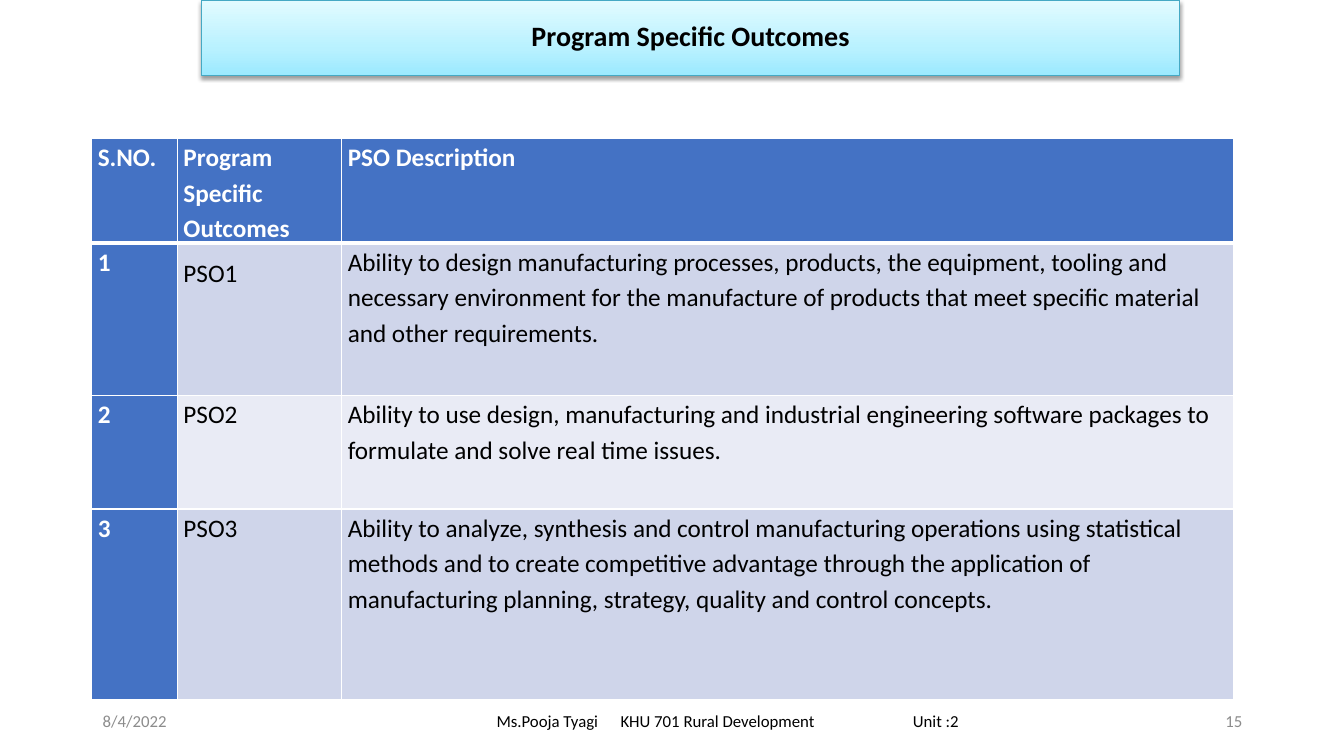
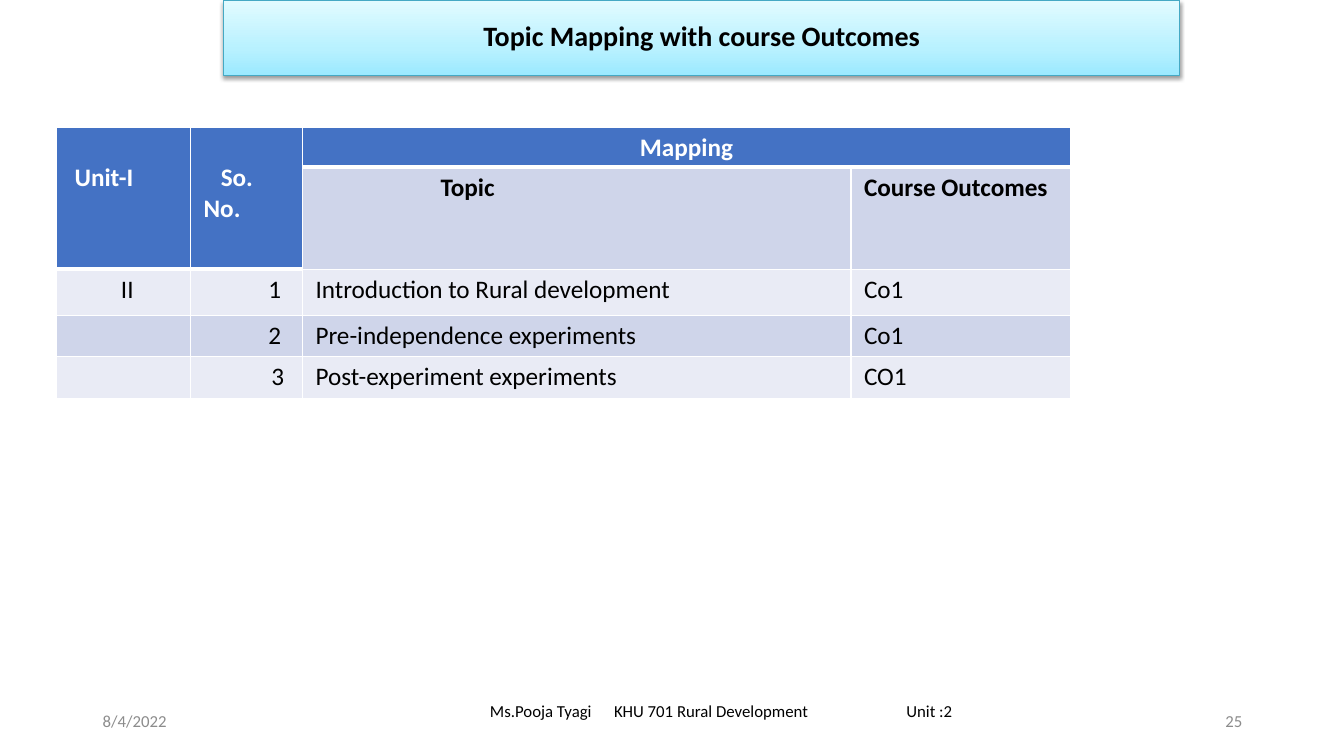
from copy import deepcopy
from lxml.etree import SubElement as Sub
from pptx import Presentation
from pptx.dml.color import RGBColor
from pptx.enum.shapes import MSO_SHAPE as Geo
from pptx.enum.text import MSO_ANCHOR as Anchor, PP_ALIGN as Align
from pptx.oxml.ns import qn
from pptx.util import Inches, Pt

# Shared look
BLUE, WHITE, BLACK, GREY = "4472C4", "FFFFFF", "000000", "8C8C8C"
BANDS = ["E9EBF5", "CFD5EA"]
GLOW = [(0, "9BE9FF"), (0.35, "B8F1FF"), (1, "E2FBFF")]
EDGE = "45A9C4"
BODY = {"name": "Calibri", "size": Pt(18), "bold": False}
HEAD = {**BODY, "bold": True}
TITLE = {**HEAD, "size": Pt(20)}
SMALL = {**BODY, "size": Pt(12)}
COURSE = "Ms.Pooja Tyagi\tKHU 701 Rural Development\tUnit :2"
DATE = "8/4/2022"


def rgb(code):
    return RGBColor.from_string(code)


def put(item, vals):
    for key, val in vals.items():
        setattr(item, key, val)


def write(frame, text, font, tint, para=None):
    """Fill the first paragraph of a text frame."""
    line = frame.paragraphs[0]
    put(line, para or {})
    run = line.add_run()
    run.text = text
    put(run.font, font)
    run.font.color.rgb = rgb(tint)
    return line


def banner(slide, box, text):
    """Title band with a gradient and a soft shadow."""
    band = slide.shapes.add_shape(Geo.RECTANGLE, *map(Inches, box))
    band.fill.gradient()
    band.fill.gradient_angle = 90
    props = band._element.spPr
    stops = props.find(".//" + qn("a:gsLst"))
    stops.append(deepcopy(stops[0]))
    for stop, (place, tint) in zip(band.fill.gradient_stops, GLOW):
        stop.position = place
        stop.color.rgb = rgb(tint)
    band.line.color.rgb = rgb(EDGE)
    band.line.width = Pt(0.75)
    # Shadow
    band.shadow.inherit = False
    cast = Sub(props.find(qn("a:effectLst")), qn("a:outerShdw"),
               blurRad=str(Pt(3.1)), dist=str(Pt(1.6)), dir="5400000",
               rotWithShape="0")
    tone = Sub(cast, qn("a:srgbClr"), val=BLACK)
    Sub(tone, qn("a:alpha"), val="38000")
    # Words
    band.text_frame.vertical_anchor = Anchor.MIDDLE
    write(band.text_frame, text, TITLE, BLACK,
          {"alignment": Align.CENTER, "line_spacing": 0.9})


def label(slide, box, text, tint, side=Align.LEFT, inset=0.1):
    area = slide.shapes.add_textbox(*map(Inches, box))
    put(area.text_frame, {"word_wrap": True, "margin_left": Inches(inset),
                          "vertical_anchor": Anchor.MIDDLE})
    return write(area.text_frame, text, SMALL, tint, {"alignment": side})


def footer(slide, box, page):
    """Date, course line on tab stops about the middle of box, page."""
    label(slide, (0.92, 6.95, 3, 0.4), DATE, GREY)
    line = label(slide, box, COURSE, BLACK, inset=box[2] / 2 - 2.3)
    tabs = Sub(line._p.get_or_add_pPr(), qn("a:tabLst"))
    for stop in (1.23, 4.13):
        Sub(tabs, qn("a:tab"), pos=str(Inches(stop)), algn="l")
    label(slide, (9.42, 6.95, 3, 0.4), page, GREY, Align.RIGHT)


def border(cell, top, base):
    props = cell._tc.get_or_add_tcPr()
    for side, size in zip("LRTB", (1, 1, top, base)):
        edge = Sub(props, qn("a:ln" + side), w=str(Pt(size)))
        Sub(Sub(edge, qn("a:solidFill")), qn("a:srgbClr"), val=WHITE)


def grid(slide, spot, cols, rows, data, head, side=(), bold=(), pads=(0.13, 0.05),
         para=None, fix=None, lines=None, merge=()):
    """Table: head and side hold blue cells; fix and lines alter single ones."""
    size = sum(cols), sum(rows)
    table = slide.shapes.add_table(len(rows), len(cols),
                                   *map(Inches, spot + size)).table
    for col, wide in zip(table.columns, cols):
        col.width = Inches(wide)
    for row, high in zip(table.rows, rows):
        row.height = Inches(high)
    for r, texts in enumerate(data):
        for c, text in enumerate(texts):
            cell, key = table.cell(r, c), (r, c)
            border(cell, 3 if (r - 1, c) in head else 1, 3 if key in head else 1)
            dark = key in head or key in side
            cell.fill.solid()
            cell.fill.fore_color.rgb = rgb(BLUE if dark else BANDS[r % 2])
            x, y = map(Inches, pads)
            put(cell, {"margin_left": x, "margin_right": x,
                       "margin_top": y, "margin_bottom": y})
            put(cell, (fix or {}).get(key, {}))
            if text:
                form = {**(para or {}), **(lines or {}).get(key, {})}
                write(cell.text_frame, text, HEAD if dark or key in bold else BODY,
                      WHITE if dark else BLACK, form)
    for start, end in merge:
        table.cell(*start).merge(table.cell(*end))
    return table


def program(slide):
    data = [
        ["S.NO.", "Program Specific Outcomes", "PSO Description"],
        ["1", "PSO1", "Ability to design manufacturing processes, products, the "
         "equipment, tooling and necessary environment for the manufacture of "
         "products that meet specific material and other requirements."],
        ["2", "PSO2", "Ability to use design, manufacturing and industrial "
         "engineering software packages to formulate and solve real time issues."],
        ["3", "PSO3", "Ability to analyze, synthesis and control manufacturing "
         "operations using statistical methods and to create competitive advantage "
         "through the application of manufacturing planning, strategy, quality and "
         "control concepts."],
    ]
    footer(slide, (2.56, 6.95, 9.33, 0.4), "15")
    grid(slide, (0.91, 1.37), (0.85, 1.63, 8.85), (1.04, 1.51, 1.13, 1.89), data,
         head={(0, c) for c in range(3)}, side={(r, 0) for r in range(1, 4)},
         pads=(0.06, 0), para={"line_spacing": 1.15, "space_after": Pt(10)},
         lines={(1, 1): {"line_spacing": 1.5}})
    banner(slide, (2, 0, 9.7, 0.75), "Program Specific Outcomes")


def topics(slide):
    data = [
        ["Unit-I", "So. No.", "Mapping", ""],
        ["", "", "Topic", "Course Outcomes"],
        ["II", "1", "Introduction to Rural development", "Co1"],
        ["", "2", "Pre-independence experiments", "Co1"],
        ["", "3", "Post-experiment experiments", "CO1"],
    ]
    drop = Inches(0.35)
    fix = {(0, 0): {"margin_left": Inches(0.18), "margin_top": drop},
           (0, 1): {"margin_top": drop},
           (1, 2): {"margin_left": Inches(1.37)},
           (2, 0): {"margin_left": Inches(0.64)}}
    for r, pad in ((2, 0.69), (3, 0.69), (4, 0.75)):
        fix[r, 1] = {"margin_left": Inches(pad)}
    mid = {"alignment": Align.CENTER}
    table = grid(slide, (0.56, 1.26), (1.33, 1.11, 5.44, 2.18),
                 (0.4, 1.01, 0.46, 0.41, 0.41), data,
                 head={(0, c) for c in range(4)} | {(1, 0), (1, 1)},
                 bold={(1, 2), (1, 3)}, fix=fix,
                 lines={key: mid for key in ((0, 2), (2, 1), (3, 1), (4, 1))},
                 merge=[((0, 0), (1, 0)), ((0, 1), (1, 1)), ((0, 2), (0, 3))])
    # First-line indent
    first = table.cell(0, 1).text_frame.paragraphs[0]._p.get_or_add_pPr()
    first.set("marL", "0")
    first.set("indent", str(Inches(0.17)))
    footer(slide, (2.44, 6.75, 9.44, 0.6), "25")
    banner(slide, (2.22, 0, 9.48, 0.75), "Topic Mapping with course Outcomes")


def main():
    deck = Presentation()
    put(deck, {"slide_width": Inches(13.33), "slide_height": Inches(7.5)})
    for build in (program, topics):
        build(deck.slides.add_slide(deck.slide_layouts[6]))
    deck.save("out.pptx")


if __name__ == "__main__":
    main()
